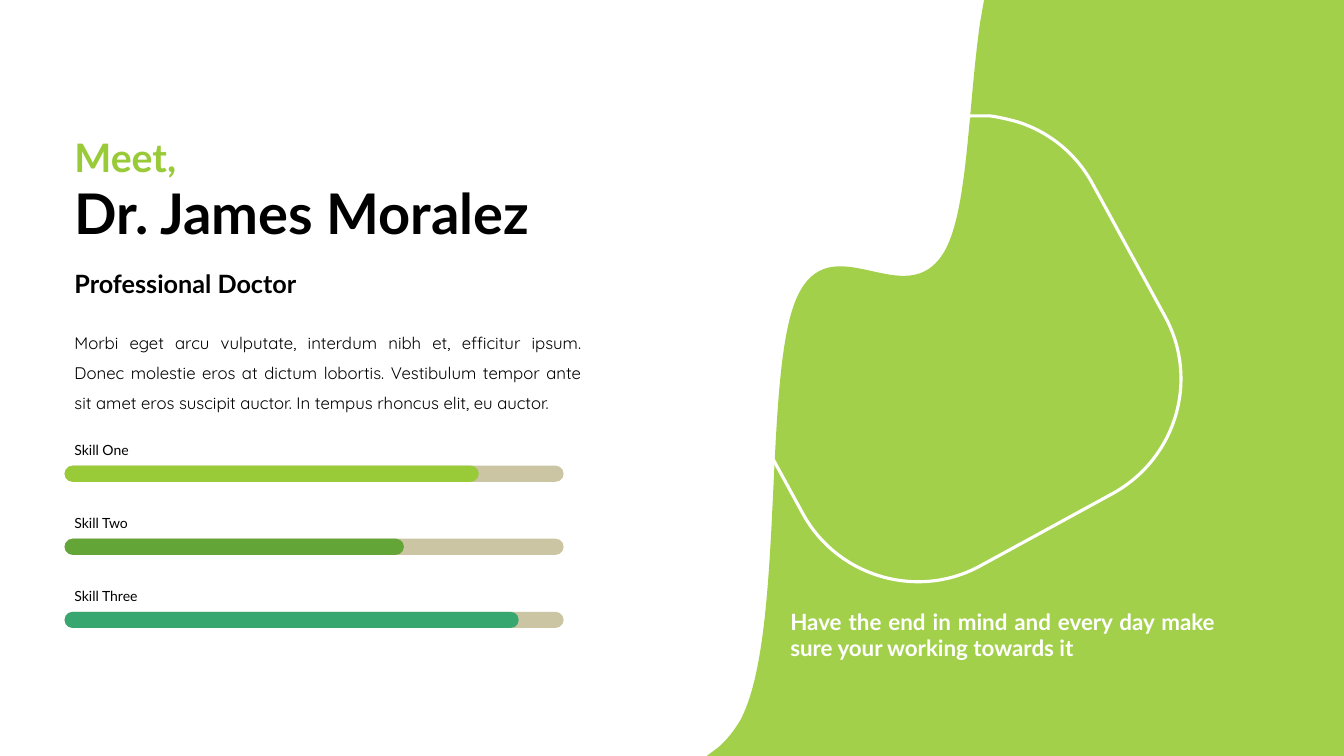
from lxml import etree
from pptx import Presentation
from pptx.dml.color import RGBColor
from pptx.enum.shapes import MSO_SHAPE as Shape
from pptx.enum.text import MSO_ANCHOR as Anchor, MSO_AUTO_SIZE as Fit, PP_ALIGN as Align
from pptx.oxml.ns import qn
from pptx.util import Inches, Pt

LIME, WHITE, BLACK, SAND = "99CB38", "FFFFFF", "000000", "CBC5A3"

# Each step holds one point for a line or three for a curve
WAVE = [
    [(9.76, 0)],
    [(13.33, 0)],
    [(13.33, 7.5)],
    [(7.01, 7.5)],
    [(7.13, 7.41)],
    [(7.21, 7.34), (7.28, 7.25), (7.34, 7.15)],
    [(7.79, 6.32), (7.56, 3.74), (7.9, 2.96)],
    [(8.24, 2.19), (8.99, 3.15), (9.37, 2.49)],
    [(9.6, 2.08), (9.6, 1.08), (9.72, 0.23)],
]
FRAME = [
    [(9.63, 1.15)],
    [(9.69, 1.15), (9.75, 1.15), (9.82, 1.15)],
    [(9.9, 1.16), (9.98, 1.18), (10.06, 1.2)],
    [(10.38, 1.29), (10.67, 1.51), (10.84, 1.83)],
    [(11.55, 3.13)],
    [(11.9, 3.76), (11.67, 4.55), (11.03, 4.9)],
    [(9.73, 5.61)],
    [(9.1, 5.96), (8.3, 5.72), (7.96, 5.09)],
    [(7.25, 3.79)],
    [(6.9, 3.16), (7.13, 2.36), (7.77, 2.02)],
    [(9.07, 1.31)],
    [(9.24, 1.21), (9.44, 1.16), (9.63, 1.15)],
]

# text, box, size, colour, options
TEXTS = [
    ("Meet,", (0.64, 1.27, 2.33, 0.57), 28, LIME, dict(bold=True)),
    ("Dr. James Moralez", (0.64, 1.42, 5.08, 1.45), 40, BLACK,
     dict(bold=True, gap=0.9, fit=Fit.NONE)),
    ("Professional Doctor", (0.64, 2.61, 3.23, 0.4), 18, BLACK, dict(bold=True)),
    ("Morbi eget arcu vulputate, interdum nibh et, efficitur ipsum. "
     "Donec molestie eros at dictum lobortis. Vestibulum tempor ante "
     "sit amet eros suscipit auctor. In tempus rhoncus elit, eu auctor.",
     (0.64, 3.15, 5.23, 1.01), 12, BLACK,
     dict(face="Quicksand", gap=1.5, anchor=Anchor.TOP, align=Align.JUSTIFY)),
    ("Have the end in mind and every day make sure your working towards it",
     (7.74, 5.98, 4.41, 0.64), 16, WHITE,
     dict(bold=True, anchor=Anchor.TOP, align=Align.JUSTIFY)),
]

SKILLS = [("Skill One", 0.83, LIME), ("Skill Two", 0.68, "63A537"),
          ("Skill Three", 0.91, "37A76F")]
LEFT, TOP, WIDTH, THICK, PITCH = 0.64, 4.62, 4.95, 0.16, 0.725


def paint(fill, color):
    fill.solid()
    fill.fore_color.rgb = RGBColor.from_string(color)


def outline(steps):
    """Draw a closed freeform, turning three-point steps into Bezier curves."""
    points = [tuple(map(Inches, point)) for step in steps for point in step]
    pen = slide.shapes.build_freeform(*points[0])
    pen.add_line_segments(points[1:], close=True)
    shape = pen.convert_to_shape()
    shape.shadow.inherit = False
    nodes = iter(list(shape.element.iter(qn("a:lnTo"))))
    for step in steps[1:]:
        node = next(nodes)
        if len(step) == 3:
            node.tag = qn("a:cubicBezTo")
            for _ in range(2):
                extra = next(nodes)
                node.append(extra[0])
                extra.getparent().remove(extra)
    return shape


def write(text, box, size, color, bold=False, face="Lato", gap=None,
          anchor=Anchor.MIDDLE, align=Align.LEFT, fit=Fit.SHAPE_TO_FIT_TEXT):
    frame = slide.shapes.add_textbox(*map(Inches, box)).text_frame
    frame.text = text
    frame.word_wrap = True
    frame.auto_size = fit
    frame.vertical_anchor = anchor
    para = frame.paragraphs[0]
    para.alignment = align
    if gap:
        para.line_spacing = gap
    font = para.runs[0].font
    font.name, font.size, font.bold = face, Pt(size), bold
    paint(font.fill, color)


def bar(top, width, color):
    shape = slide.shapes.add_shape(
        Shape.ROUNDED_RECTANGLE, *map(Inches, (LEFT, top, width, THICK)))
    shape.adjustments[0] = 0.5
    shape.shadow.inherit = False
    shape.line.fill.background()
    paint(shape.fill, color)


deck = Presentation()
deck.slide_width, deck.slide_height = Inches(13.33), Inches(7.5)
slide = deck.slides.add_slide(deck.slide_layouts[6])
paint(slide.background.fill, WHITE)

wave = outline(WAVE)
paint(wave.fill, LIME)
wave.line.fill.background()
tint = wave.element.spPr.find(qn("a:solidFill"))[0]
etree.SubElement(tint, qn("a:alpha")).set("val", "90000")

frame = outline(FRAME)
frame.fill.background()
paint(frame.line.fill, WHITE)
frame.line.width = Pt(2.25)

for text, box, size, color, options in TEXTS:
    write(text, box, size, color, **options)

for row, (name, share, color) in enumerate(SKILLS):
    top = TOP + row * PITCH
    bar(top, WIDTH, SAND)
    bar(top, WIDTH * share, color)
    write(name, (LEFT, top - 0.29, WIDTH, 0.27), 10, BLACK)

deck.save("out.pptx")
